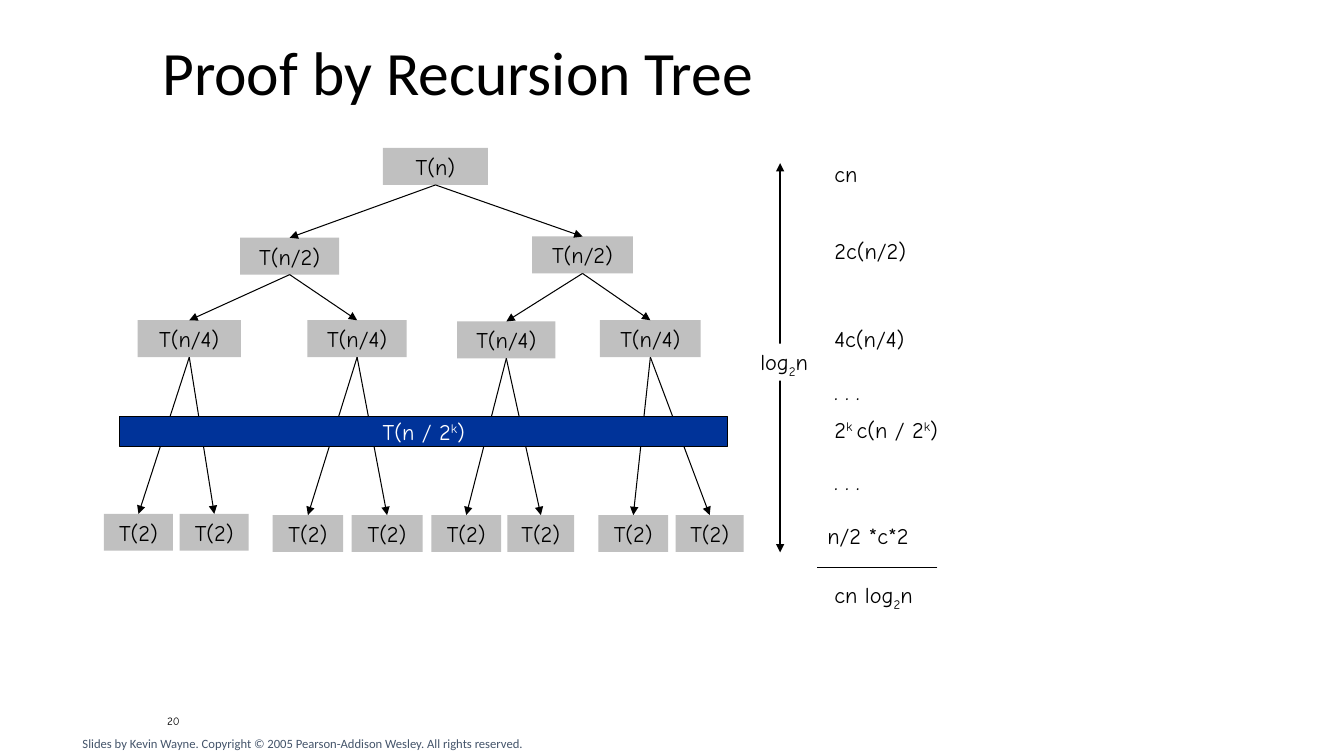
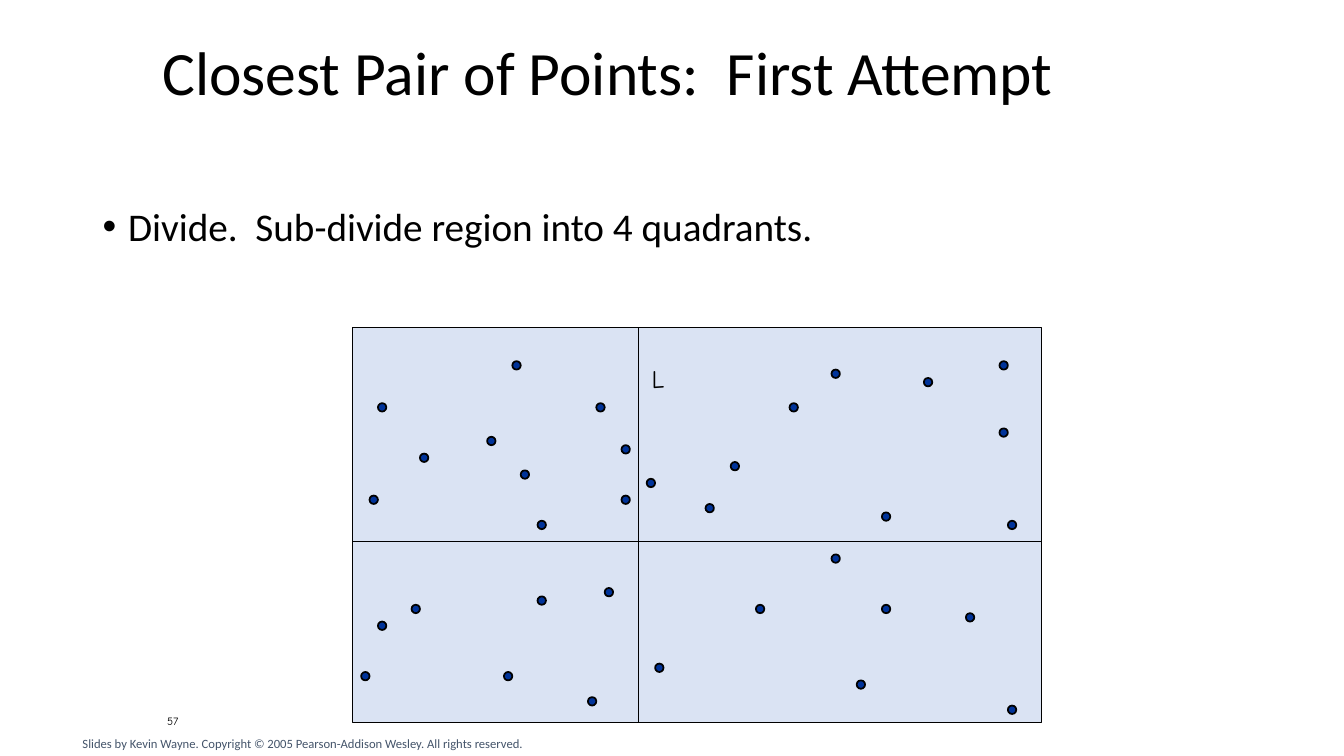
import pptx
import pptx.util
import pptx.dml.color
import pptx.enum.shapes
import pptx.enum.text
import pptx.oxml.ns
from lxml import etree

Cm, Pt = pptx.util.Cm, pptx.util.Pt
SHAPE = pptx.enum.shapes.MSO_SHAPE
ALIGN = pptx.enum.text.PP_ALIGN
ANCHOR = pptx.enum.text.MSO_ANCHOR
qn = pptx.oxml.ns.qn

COLORS = {"ink": "000000", "white": "FFFFFF", "node": "C0C0C0",
          "navy": "003399", "region": "DAE3F3", "footer": "44546A"}
SANS, HAND = "Calibri", "Comic Neue"

# Shared content; every box is left, top, width, height in cm
TITLE_BOX = (3.84, 0.74, 29.21, 2.31)
NUMBER_BOX = (3.96, 17.65, 5.99, 1.02)
FOOTER_BOX = (1.83, 18.42, 14.27, 0.63)
FOOTER = ("Slides by Kevin Wayne. Copyright © 2005 Pearson-Addison Wesley. "
          "All rights reserved.")

# Recursion tree: label of each level, then left, top, width of its nodes
NODE_HEIGHT = 0.93
TREE_LEVELS = [
    ("T(n)", [(9.65, 3.73, 2.65)]),
    ("T(n/2)", [(6.05, 5.99, 2.5), (13.41, 5.96, 2.54)]),
    ("T(n/4)", [(3.47, 8.07, 2.6), (7.75, 8.07, 2.5),
                (11.52, 8.1, 2.48), (15.12, 8.07, 2.54)]),
    ("T(2)", [(2.62, 12.95, 1.74), (4.53, 12.95, 1.74),
              (6.87, 12.98, 1.78), (8.86, 12.98, 1.79),
              (10.87, 12.98, 1.76), (12.79, 12.98, 1.68),
              (15.08, 12.98, 1.76), (17.03, 12.98, 1.71)]),
]
# A run is a string, or a string with its baseline shift in percent
BAND_TEXT = ["T(n / 2", ("k", 30), ")"]
DEPTH_TEXT = ["log", ("2", -25), "n"]
COST_WIDTH = 4.5
COSTS = [  # left, top, runs
    (20.78, 3.91, "cn"),
    (20.78, 5.84, "2c(n/2)"),
    (20.78, 8.08, "4c(n/4)"),
    (20.78, 9.4, ". . ."),
    (20.78, 10.36, ["2", ("k ", 30), "c(n / 2", ("k", 30), ")"]),
    (20.78, 11.66, ". . ."),
    (20.6, 13.03, "n/2 *c*2"),
    (20.78, 14.53, ["cn log", ("2", -25), "n"]),
]

# Region of points, measured in grid steps from its top left corner
STEP = 2.54 / 12
REGION_LEFT, REGION_TOP = 42 * STEP, 39 * STEP
REGION_COLS, REGION_ROWS = 82, 47
SPLIT_COL, SPLIT_ROW = 34, 25.5
POINTS = [
    # upper left
    (19, 4), (3, 9), (29, 9), (16, 13), (32, 14), (8, 15), (20, 17),
    (2, 20), (32, 20), (22, 23),
    # upper right
    (77, 4), (57, 5), (68, 6), (52, 9), (77, 12), (45, 16), (35, 18),
    (42, 21), (63, 22), (78, 23),
    # lower left
    (30, 31), (22, 32), (7, 33), (3, 35), (1, 41), (18, 41), (28, 44),
    # lower right
    (57, 27), (48, 33), (63, 33), (73, 34), (36, 40), (60, 42), (78, 45),
]


def rgb(name):
    return pptx.dml.color.RGBColor.from_string(COLORS[name])


def add_shape(s, kind, box, fill, line=None):
    sp = s.shapes.add_shape(kind, *map(Cm, box))
    sp.shadow.inherit = False
    sp.fill.solid()
    sp.fill.fore_color.rgb = rgb(fill)
    if line:
        sp.line.color.rgb = rgb("ink")
        sp.line.width = Pt(line)
    else:
        sp.line.fill.background()
    return sp


def add_text(s, box, runs, size=16, font=HAND, color="ink", fill=None,
             line=None, align=ALIGN.LEFT, anchor=ANCHOR.TOP, wrap=True,
             spacing=None, bullet=None):
    """Text in a plain box, or in a rectangle when a fill is given."""
    if fill:
        sp = add_shape(s, SHAPE.RECTANGLE, box, fill, line)
    else:
        sp = s.shapes.add_textbox(*map(Cm, box))
    tf = sp.text_frame
    tf.word_wrap = wrap
    tf.vertical_anchor = anchor
    p = tf.paragraphs[0]
    if bullet:
        pPr = p._p.get_or_add_pPr()
        indent = Cm(0.64)
        pPr.set("marL", str(indent))
        pPr.set("indent", str(-indent))
        etree.SubElement(pPr, qn("a:buFont")).set("typeface", "Arial")
        etree.SubElement(pPr, qn("a:buChar")).set("char", bullet)
    p.alignment = align
    if spacing:
        p.line_spacing = spacing
    for run in [runs] if isinstance(runs, str) else runs:
        label, shift = (run, 0) if isinstance(run, str) else run
        r = p.add_run()
        r.text = label
        r.font.size = Pt(size)
        r.font.name = font
        r.font.color.rgb = rgb(color)
        if shift:
            r._r.get_or_add_rPr().set("baseline", str(shift * 1000))
    return sp


def add_line(s, x1=0, y1=0, x2=0, y2=0, width=1, arrows=(), start=None, end=None):
    """Line between points, or from the bottom of start to the top of end."""
    c = s.shapes.add_connector(pptx.enum.shapes.MSO_CONNECTOR.STRAIGHT,
                               Cm(x1), Cm(y1), Cm(x2), Cm(y2))
    if start is not None:
        c.begin_connect(start, 2)
        c.end_connect(end, 0)
    c.line.color.rgb = rgb("ink")
    c.line.width = Pt(width)
    ln = c.line._get_or_add_ln()
    for tip in arrows:
        etree.SubElement(ln, qn("a:" + tip)).set("type", "triangle")
    etree.SubElement(c._element.spPr, qn("a:effectLst"))


def add_slide(prs, title, number):
    s = prs.slides.add_slide(prs.slide_layouts[6])
    add_text(s, TITLE_BOX, title, size=44, font=SANS,
             anchor=ANCHOR.MIDDLE, spacing=0.9)
    add_text(s, NUMBER_BOX, number, size=8, anchor=ANCHOR.MIDDLE)
    add_text(s, FOOTER_BOX, FOOTER, size=9, font=SANS, color="footer")
    return s


def recursion_tree(prs):
    s = add_slide(prs, "Proof by Recursion Tree", "20")

    # Nodes, each joined to its parent in the level above
    parents = []
    for label, places in TREE_LEVELS:
        nodes = []
        for i, place in enumerate(places):
            node = add_text(s, (*place, NODE_HEIGHT), label, fill="node",
                            align=ALIGN.CENTER)
            if parents:
                add_line(s, start=parents[i // 2], end=node, width=0.75,
                         arrows=["tailEnd"])
            nodes.append(node)
        parents = nodes
    add_text(s, (3.02, 10.49, 15.32, 0.76), BAND_TEXT, color="white",
             fill="navy", line=0.75, align=ALIGN.CENTER,
             anchor=ANCHOR.MIDDLE, wrap=False)

    # Depth of the tree
    add_line(s, 19.66, 4.11, 19.66, 13.92, arrows=["headEnd", "tailEnd"])
    add_text(s, (18.72, 8.66, 2.08, NODE_HEIGHT), DEPTH_TEXT, fill="white",
             align=ALIGN.CENTER)

    # Cost per level and the sum
    for left, top, runs in COSTS:
        add_text(s, (left, top, COST_WIDTH, NODE_HEIGHT), runs)
    add_line(s, 23.62, 14.3, 20.6, 14.3)


def closest_pair(prs):
    s = add_slide(prs, "Closest Pair of Points:  First Attempt", "57")
    add_text(s, (2.34, 5.1, 30.71, 1.5),
             "Divide.  Sub-divide region into 4 quadrants.",
             size=28, font=SANS, spacing=0.9, bullet="•")

    # Region and its points
    right = REGION_LEFT + REGION_COLS * STEP
    bottom = REGION_TOP + REGION_ROWS * STEP
    add_shape(s, SHAPE.RECTANGLE,
              (REGION_LEFT, REGION_TOP, right - REGION_LEFT, bottom - REGION_TOP),
              "region", line=1)
    for col, row in POINTS:
        add_shape(s, SHAPE.OVAL, (REGION_LEFT + col * STEP,
                                  REGION_TOP + row * STEP, STEP, STEP),
                  "navy", line=1.25)

    # Dividing lines
    x = REGION_LEFT + SPLIT_COL * STEP
    y = REGION_TOP + SPLIT_ROW * STEP
    add_line(s, x, REGION_TOP, x, bottom)
    add_line(s, REGION_LEFT, y, right, y)
    add_text(s, (15.88, 9.02, 1.4, 1.02), "L", size=18, align=ALIGN.CENTER)


def main():
    prs = pptx.Presentation()
    prs.slide_width, prs.slide_height = Cm(33.87), Cm(19.05)
    recursion_tree(prs)
    closest_pair(prs)
    prs.save("out.pptx")


if __name__ == "__main__":
    main()
